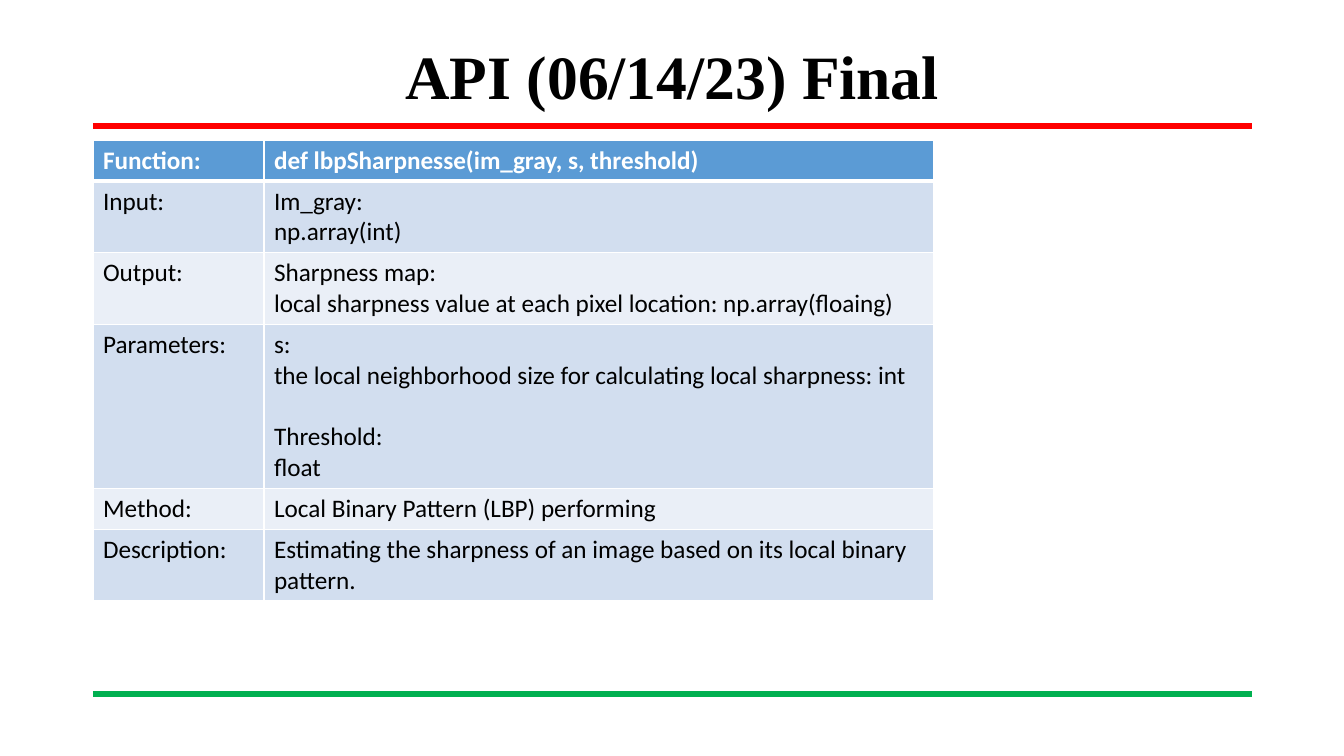
from dataclasses import dataclass

from lxml.etree import SubElement
from pptx import Presentation
from pptx.dml.color import RGBColor
from pptx.enum.shapes import MSO_CONNECTOR as Connector
from pptx.enum.text import MSO_ANCHOR as Anchor, PP_ALIGN as Align
from pptx.oxml.ns import qn
from pptx.slide import Slide
from pptx.table import _Cell as Cell
from pptx.util import Pt

EMU_PER_INCH = 914400
PX_PER_INCH = 100.8


@dataclass(frozen=True)
class Theme:
    red: str = "FF0000"
    green: str = "00B050"
    black: str = "000000"
    white: str = "FFFFFF"
    header: str = "5B9BD5"
    bands: tuple[str, str] = ("D2DEEF", "EAEFF7")
    title_font: str = "Times New Roman"
    table_font: str = "Calibri"
    title_size: int = 44
    table_size: int = 18
    blank_line: int = 22
    rule_width: float = 4.5
    border: int = 1
    header_border: int = 3


@dataclass(frozen=True)
class Line:
    text: str
    gap_before: int = 0


@dataclass(frozen=True)
class ApiRow:
    label: str
    lines: tuple[Line, ...]
    height: int


@dataclass(frozen=True)
class Rule:
    y: int
    color: str


THEME = Theme()
LEFT, WIDTH = 93, 1159
TABLE_TOP = 140
COLUMNS = (171, 670)
RULES = (Rule(126, THEME.red), Rule(694, THEME.green))
ROWS = (
    ApiRow("Function:", (Line("def lbpSharpnesse(im_gray, s, threshold)"),), 41),
    ApiRow("Input:", (Line("Im_gray:"), Line("np.array(int)")), 71),
    ApiRow("Output:", (
        Line("Sharpness map:"),
        Line("local sharpness value at each pixel location: np.array(floaing)"),
    ), 71),
    ApiRow("Parameters:", (
        Line("s:"),
        Line("the local neighborhood size for calculating local sharpness: int"),
        Line("Threshold:", THEME.blank_line),
        Line("float"),
    ), 164),
    ApiRow("Method:", (Line("Local Binary Pattern (LBP) performing"),), 41),
    ApiRow("Description:", (
        Line("Estimating the sharpness of an image based on its local binary pattern."),
    ), 71),
)


def px(length: int) -> int:
    return round(length * EMU_PER_INCH / PX_PER_INCH)


def add_run(paragraph, text: str, font: str, size: int, color: str, bold: bool) -> None:
    run = paragraph.add_run()
    run.text = text
    run.font.name = font
    run.font.size = Pt(size)
    run.font.bold = bold
    run.font.color.rgb = RGBColor.from_string(color)


def add_rule(slide: Slide, rule: Rule) -> None:
    connector = slide.shapes.add_connector(
        Connector.STRAIGHT, px(LEFT), px(rule.y), px(LEFT + WIDTH), px(rule.y))
    connector.line.color.rgb = RGBColor.from_string(rule.color)
    connector.line.width = Pt(THEME.rule_width)
    SubElement(connector._element.spPr, qn("a:effectLst"))


def add_title(slide: Slide, text: str) -> None:
    box = slide.shapes.add_textbox(px(LEFT), px(40), px(WIDTH), px(80))
    frame = box.text_frame
    frame.word_wrap = True
    frame.vertical_anchor = Anchor.MIDDLE
    paragraph = frame.paragraphs[0]
    paragraph.alignment = Align.CENTER
    paragraph.line_spacing = 0.9
    add_run(paragraph, text, THEME.title_font, THEME.title_size, THEME.black, True)


def set_borders(cell: Cell, top: int, bottom: int) -> None:
    properties = cell._tc.get_or_add_tcPr()
    widths = {"L": THEME.border, "R": THEME.border, "T": top, "B": bottom}
    for side, width in widths.items():
        border = SubElement(properties, qn(f"a:ln{side}"), w=str(Pt(width)))
        fill = SubElement(border, qn("a:solidFill"))
        SubElement(fill, qn("a:srgbClr"), val=THEME.white)


def fill_cell(cell: Cell, lines: tuple[Line, ...], row_index: int) -> None:
    is_header = row_index == 0
    set_borders(
        cell,
        THEME.header_border if row_index == 1 else THEME.border,
        THEME.header_border if is_header else THEME.border)
    color = THEME.header if is_header else THEME.bands[(row_index - 1) % 2]
    cell.fill.solid()
    cell.fill.fore_color.rgb = RGBColor.from_string(color)
    frame = cell.text_frame
    for index, line in enumerate(lines):
        paragraph = frame.add_paragraph() if index else frame.paragraphs[0]
        if line.gap_before:
            paragraph.space_before = Pt(line.gap_before)
        add_run(paragraph, line.text, THEME.table_font, THEME.table_size,
                THEME.white if is_header else THEME.black, is_header)


def add_api_table(slide: Slide, rows: tuple[ApiRow, ...]) -> None:
    table = slide.shapes.add_table(
        len(rows), len(COLUMNS), px(LEFT), px(TABLE_TOP),
        px(sum(COLUMNS)), px(sum(row.height for row in rows))).table
    for column, width in zip(table.columns, COLUMNS):
        column.width = px(width)
    for index, row in enumerate(rows):
        table.rows[index].height = px(row.height)
        fill_cell(table.cell(index, 0), (Line(row.label),), index)
        fill_cell(table.cell(index, 1), row.lines, index)


def main() -> None:
    presentation = Presentation()
    presentation.slide_width = px(1344)
    presentation.slide_height = px(756)
    slide = presentation.slides.add_slide(presentation.slide_layouts[6])
    for rule in RULES:
        add_rule(slide, rule)
    add_api_table(slide, ROWS)
    add_title(slide, "API (06/14/23) Final")
    presentation.save("out.pptx")


if __name__ == "__main__":
    main()
